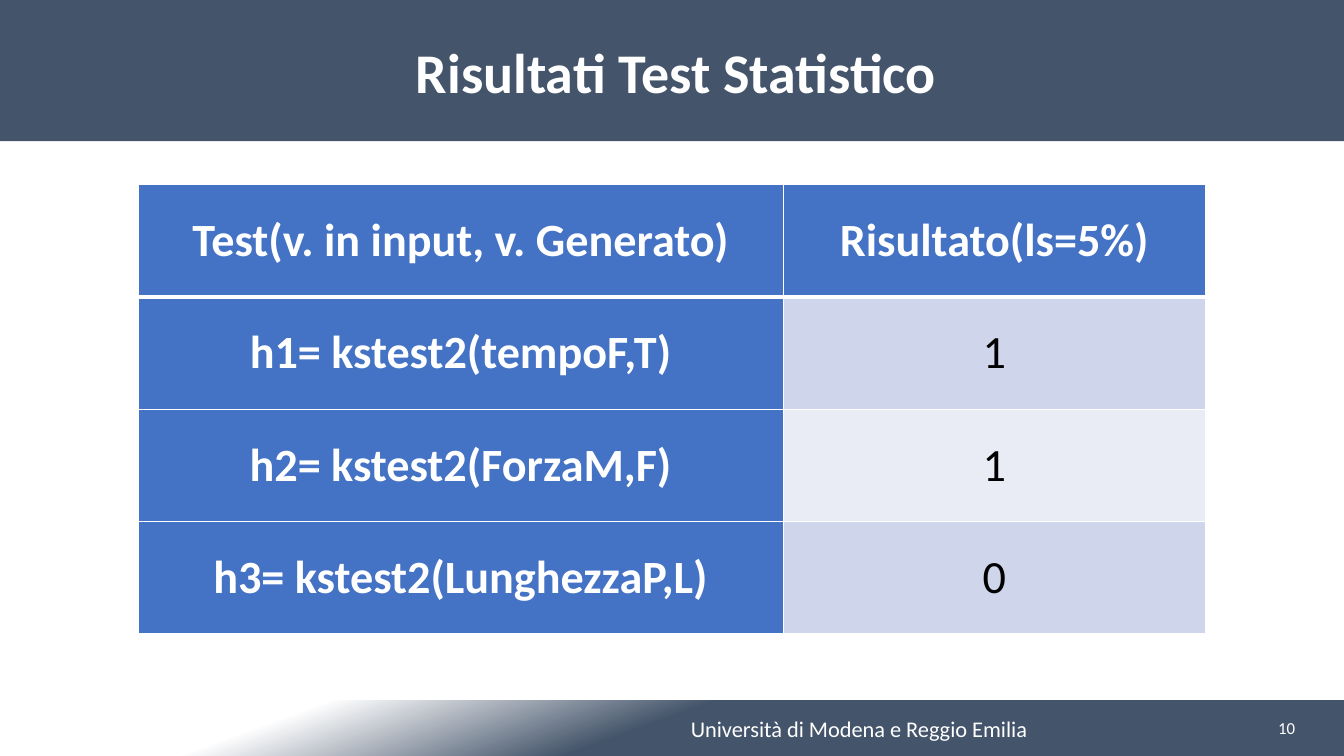
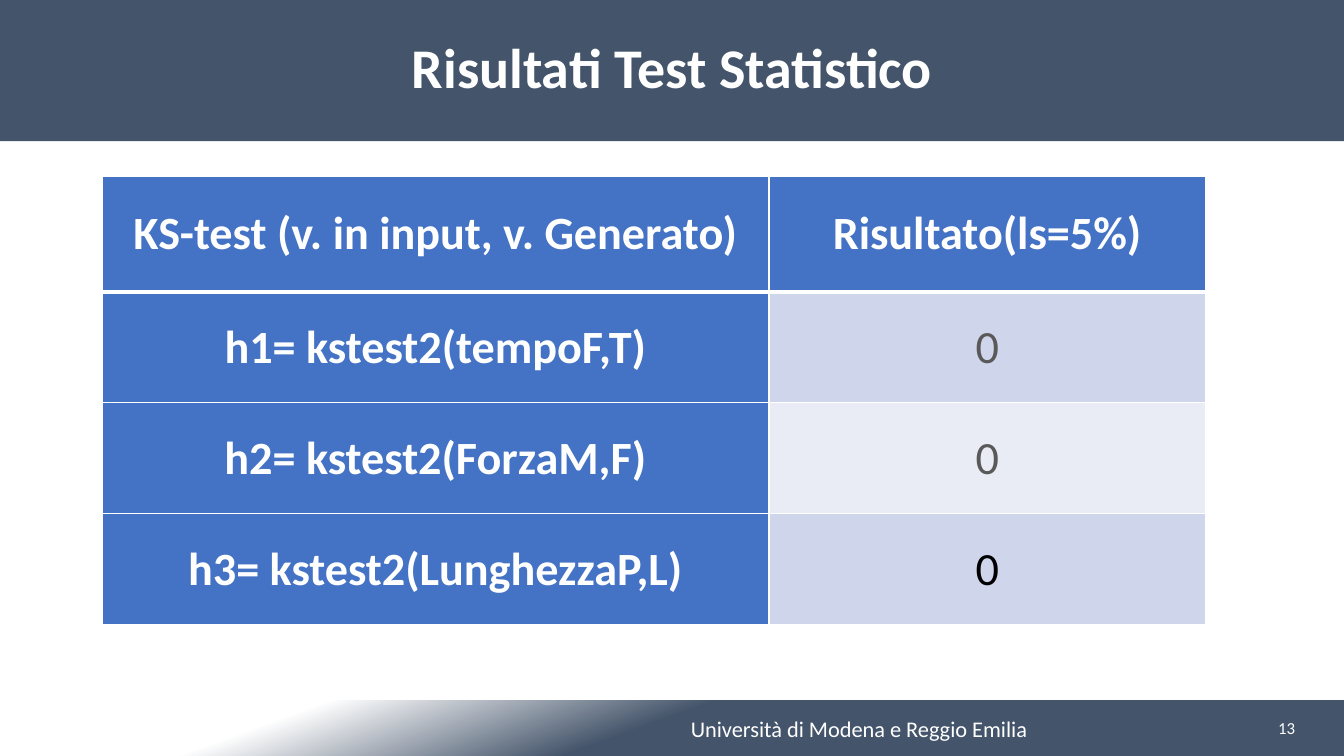
from dataclasses import dataclass

from lxml import etree
from pptx import Presentation
from pptx import util as u
from pptx.dml.color import RGBColor
from pptx.enum import shapes, text
from pptx.oxml.ns import qn


@dataclass(frozen=True)
class Theme:
    font: str = "Calibri"
    white: str = "FFFFFF"
    black: str = "000000"
    grey: str = "595959"
    slate: str = "44546A"
    blue: str = "4472C4"
    bands: tuple = ("CFD5EA", "E9EBF5")
    title: int = 40
    table: int = 33
    footer: int = 16
    number: int = 12


theme = Theme()
WIDTH, HEIGHT = 33.87, 19.05
TITLE_HEIGHT, FOOTER_HEIGHT = 3.56, 1.4
FOOTER_TOP = HEIGHT - FOOTER_HEIGHT


def write(holder, content, *, size, color=theme.white, bold=False,
          align=text.PP_ALIGN.CENTER, left=0.25, right=0.25, spacing=None):
    """Fill a shape or table cell with one vertically centred paragraph."""
    frame = holder.text_frame
    frame.word_wrap = True
    frame.vertical_anchor = text.MSO_ANCHOR.MIDDLE
    frame.margin_left, frame.margin_right = u.Cm(left), u.Cm(right)
    frame.margin_top = frame.margin_bottom = 0
    paragraph = frame.paragraphs[0]
    paragraph.alignment = align
    paragraph.line_spacing = spacing
    run = paragraph.add_run()
    run.text = content
    run.font.name, run.font.size, run.font.bold = theme.font, u.Pt(size), bold
    run.font.color.rgb = RGBColor.from_string(color)


def set_borders(cell, **points):
    """Draw white cell borders; widths are keyed L, R, T, B."""
    properties = cell._tc.get_or_add_tcPr()
    for index, side in enumerate("LRTB"):
        line = etree.Element(qn("a:ln" + side), w=str(u.Pt(points.get(side, 1))))
        fill = etree.SubElement(line, qn("a:solidFill"))
        etree.SubElement(fill, qn("a:srgbClr"), val=theme.white)
        properties.insert(index, line)


TESTS = ["h1= kstest2(tempoF,T)", "h2= kstest2(ForzaM,F)", "h3= kstest2(LunghezzaP,L)"]
pages = [
    dict(number="10", heading="Test(v. in input, v. Generato)",
         results=[("1", theme.black), ("1", theme.black), ("0", theme.black)],
         origin=(3.48, 4.65), columns=(16.26, 10.64), header_height=2.83, row_height=2.83,
         title_format=dict(left=0.45)),
    dict(number="13", heading="KS-test (v. in input, v. Generato)",
         results=[("0", theme.grey), ("0", theme.grey), ("0", theme.black)],
         origin=(2.57, 4.45), columns=(16.81, 11), header_height=2.9, row_height=2.8,
         title_format=dict(spacing=0.9)),
]

deck = Presentation()
deck.slide_width, deck.slide_height = u.Cm(WIDTH), u.Cm(HEIGHT)

for page in pages:
    slide = deck.slides.add_slide(deck.slide_layouts[6])

    title, footer = [
        slide.shapes.add_shape(shapes.MSO_SHAPE.RECTANGLE, 0, u.Cm(top), u.Cm(WIDTH), u.Cm(height))
        for top, height in ((0, TITLE_HEIGHT), (FOOTER_TOP, FOOTER_HEIGHT))
    ]
    for band in (title, footer):
        band.shadow.inherit = False
        band.line.fill.background()
    title.fill.solid()
    title.fill.fore_color.rgb = RGBColor.from_string(theme.slate)
    write(title, "Risultati Test Statistico", size=theme.title, bold=True, **page["title_format"])

    footer.fill.gradient()
    footer.fill.gradient_angle = 290
    fade = ((0.22, theme.white), (0.48, theme.slate))
    for stop, (position, color) in zip(footer.fill.gradient_stops, fade):
        stop.position = position
        stop.color.rgb = RGBColor.from_string(color)
    write(footer, "Università di Modena e Reggio Emilia", size=theme.footer, left=9.68)

    page_number = slide.shapes.add_textbox(
        u.Cm(28.47), u.Cm(FOOTER_TOP), u.Cm(4.42), u.Cm(FOOTER_HEIGHT))
    write(page_number, page["number"], size=theme.number, align=text.PP_ALIGN.RIGHT)

    rows = [(page["heading"], ("Risultato(ls=5%)", theme.white)), *zip(TESTS, page["results"])]
    heights = [page["header_height"]] + [page["row_height"]] * len(TESTS)
    left, top = page["origin"]
    results_table = slide.shapes.add_table(
        len(rows), 2, u.Cm(left), u.Cm(top),
        u.Cm(sum(page["columns"])), u.Cm(sum(heights))).table
    for column, width in zip(results_table.columns, page["columns"]):
        column.width = u.Cm(width)

    for r, (test, (result, result_color)) in enumerate(rows):
        results_table.rows[r].height = u.Cm(heights[r])
        for c, (content, color) in enumerate(((test, theme.white), (result, result_color))):
            cell = results_table.cell(r, c)
            heading = r == 0 or c == 0
            cell.fill.solid()
            cell.fill.fore_color.rgb = RGBColor.from_string(
                theme.blue if heading else theme.bands[(r - 1) % 2])
            write(cell, content, size=theme.table, color=color, bold=heading,
                  left=0.64, right=0.64)
            cell.vertical_anchor = text.MSO_ANCHOR.MIDDLE
            set_borders(cell, T=3 if r == 1 else 1, B=3 if r == 0 else 1)
            cell.margin_left = cell.margin_right = u.Cm(0.64)
            cell.margin_top = cell.margin_bottom = 0

deck.save("out.pptx")
